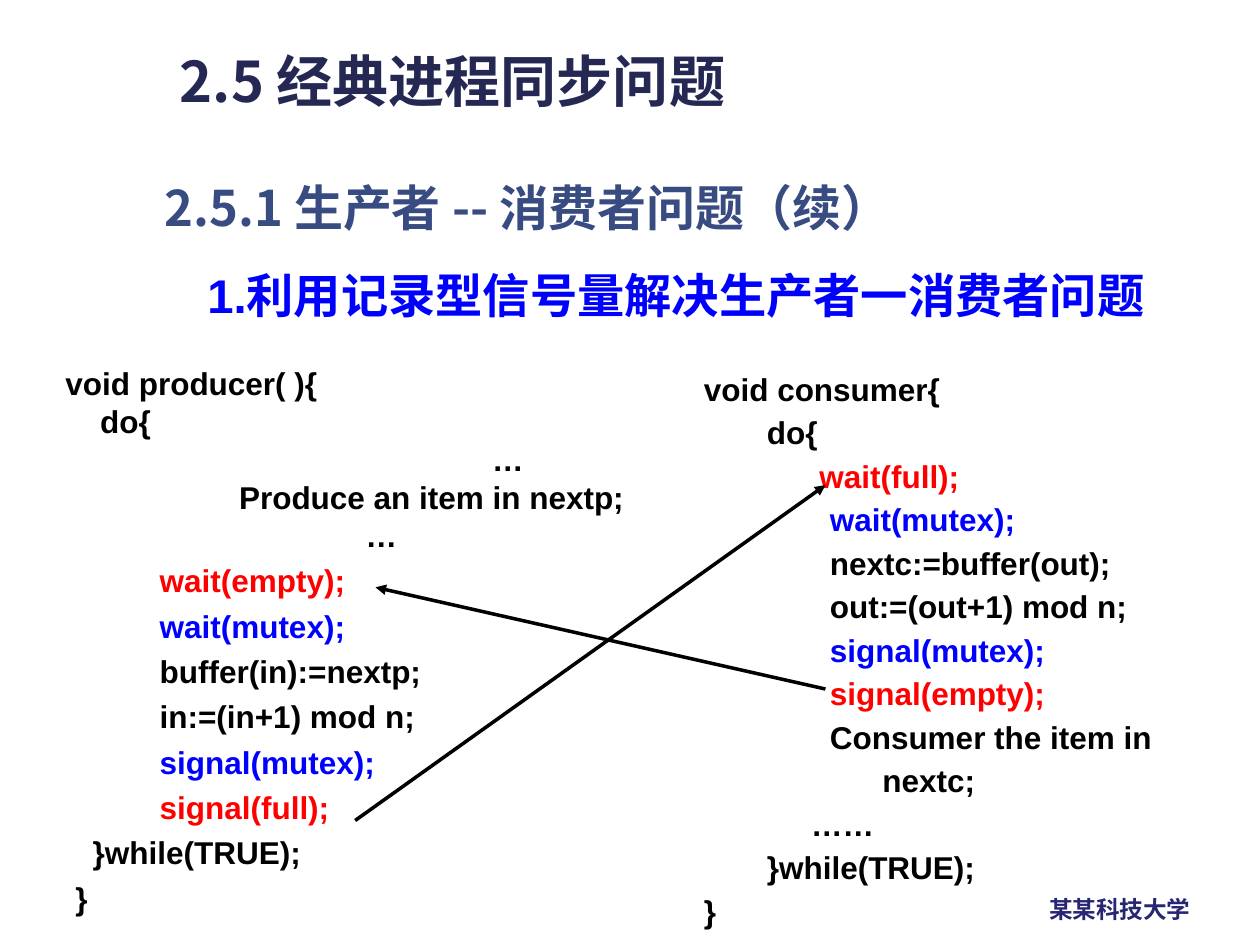
from dataclasses import dataclass

from pptx import Presentation
from pptx import util as u
from pptx.dml import color
from pptx.enum import text
from pptx.enum import shapes
from pptx.oxml import ns
from lxml import etree


@dataclass(frozen=True)
class Theme:
    """Colours, fonts, type sizes and line pitches in points."""
    navy: str = "242852"
    slate: str = "384C81"
    indigo: str = "262673"
    blue: str = "0000FF"
    red: str = "FF0000"
    black: str = "000000"
    cjk: str = "Noto Sans CJK SC"
    latin: str = "Arial"
    title: float = 32
    section: float = 28
    topic: float = 27
    code: float = 18
    footer: float = 13.5
    tight: float = 21.7
    loose: float = 25.9
    medium: float = 24.85
    stroke: float = 2


THEME = Theme()
K, R, B = THEME.black, THEME.red, THEME.blue

PRODUCER = [
    ("void producer( ){", 0, K), ("do{", 0.7, K), ("…", 8.6, K),
    ("Produce an item in nextp;", 3.5, K), ("…", 6.05, K),
    ("wait(empty);", 1.9, R), ("wait(mutex);", 1.9, B),
    ("buffer(in):=nextp;", 1.9, K), ("in:=(in+1) mod n;", 1.9, K),
    ("signal(mutex);", 1.9, B), ("signal(full);", 1.9, R),
    ("}while(TRUE);", 0.55, K), ("}", 0.2, K),
]
PRODUCER_PITCH = [THEME.tight] * 5 + [THEME.loose] * 8

CONSUMER = [
    ("void consumer{", 0, K), ("do{", 1.27, K), ("wait(full);", 2.33, R),
    ("wait(mutex);", 2.54, B), ("nextc:=buffer(out);", 2.54, K),
    ("out:=(out+1) mod n;", 2.54, K), ("signal(mutex);", 2.54, B),
    ("signal(empty);", 2.54, R), ("Consumer the item in nextc;", 2.54, K),
    ("……", 2.16, K), ("}while(TRUE);", 1.27, K), ("}", 0, K),
]
CONSUMER_PITCH = [THEME.medium] * 12
HANGING = 1.06


def style(para, font, size, rgb):
    """Format every run of a paragraph in bold."""
    para.alignment = text.PP_ALIGN.LEFT
    for span in para.runs:
        span.font.name = font
        span.font.size = u.Pt(size)
        span.font.bold = True
        span.font.color.rgb = color.RGBColor.from_string(rgb)
        east = etree.SubElement(span.font._element, ns.qn("a:ea"))
        east.set("typeface", THEME.cjk)


def place(shape, box):
    """Move a shape to a box of left, top, width and height in centimetres."""
    shape.left, shape.top, shape.width, shape.height = map(u.Cm, box)


def add_box(page, box):
    """Add an empty wrapping text box."""
    shape = page.shapes.add_textbox(*map(u.Cm, box))
    shape.text_frame.word_wrap = True
    return shape


def heading(shape, words, font, size, rgb, anchor=text.MSO_ANCHOR.MIDDLE):
    """Fill a shape with one line of heading text."""
    frame = shape.text_frame
    frame.text = words
    frame.auto_size = text.MSO_AUTO_SIZE.NONE
    frame.vertical_anchor = anchor
    style(frame.paragraphs[0], font, size, rgb)


def headings(page, box):
    """Place the title, section and topic lines inside a box."""
    left, top, width, height = box
    title = page.shapes.title
    place(title, (left + 0.3, top, 12.75, 1.63))
    heading(title, "2.5 经典进程同步问题", THEME.cjk, THEME.title, THEME.navy)
    section = add_box(page, (left, top + 2.77, 17.07, 1.83))
    section.text_frame.margin_top = 0
    heading(section, "2.5.1 生产者 -- 消费者问题（续）", THEME.cjk,
            THEME.section, THEME.slate, text.MSO_ANCHOR.TOP)
    topic = add_box(page, (left + 0.86, top + height - 1.42, width - 0.86, 1.42))
    heading(topic, "1.利用记录型信号量解决生产者一消费者问题", THEME.latin,
            THEME.topic, THEME.blue)


def listing(page, box, lines, pitches):
    """Place a column of indented code lines."""
    frame = add_box(page, box).text_frame
    frame.text = "\n".join(words for words, _, _ in lines)
    for para, (_, indent, rgb), pitch in zip(frame.paragraphs, lines, pitches):
        style(para, THEME.latin, THEME.code, rgb)
        para.line_spacing = u.Pt(pitch)
        layout = para._p.get_or_add_pPr()
        layout.set("marL", str(u.Cm(indent + HANGING)))
        layout.set("indent", str(-u.Cm(HANGING)))


def arrow(page, start, end):
    """Draw an arrow between two points in centimetres."""
    line = page.shapes.add_connector(
        shapes.MSO_CONNECTOR.STRAIGHT, *map(u.Cm, start + end))
    line.line.color.rgb = color.RGBColor.from_string(THEME.black)
    line.line.width = u.Pt(THEME.stroke)
    stroke = line.line._get_or_add_ln()
    etree.SubElement(stroke, ns.qn("a:tailEnd")).set("type", "triangle")
    etree.SubElement(line._element.spPr, ns.qn("a:effectLst"))


def signals(page, box):
    """Link each signal to the wait it releases, inside a box."""
    left, top, width, height = box
    right, bottom = left + width, top + height
    arrow(page, (right, top + 4.11), (left + 0.41, top + 2.06))
    arrow(page, (left, bottom), (right, top))


def footer(page, box):
    """Place the school name."""
    heading(add_box(page, box), "某某科技大学", THEME.cjk, THEME.footer, THEME.indigo)


def main():
    """Build and save the deck."""
    deck = Presentation()
    deck.slide_width, deck.slide_height = u.Cm(25.4), u.Cm(19.05)
    page = deck.slides.add_slide(deck.slide_layouts[5])
    footer(page, (20.9, 17.91, 3.4, 0.84))
    headings(page, (3.07, 0.81, 21.16, 5.84))
    listing(page, (1.07, 7.21, 12.7, 11.4), PRODUCER, PRODUCER_PITCH)
    listing(page, (13.94, 7.21, 10.31, 10.64), CONSUMER, CONSUMER_PITCH)
    signals(page, (7.16, 9.78, 9.48, 6.76))
    deck.save("out.pptx")


if __name__ == "__main__":
    main()
